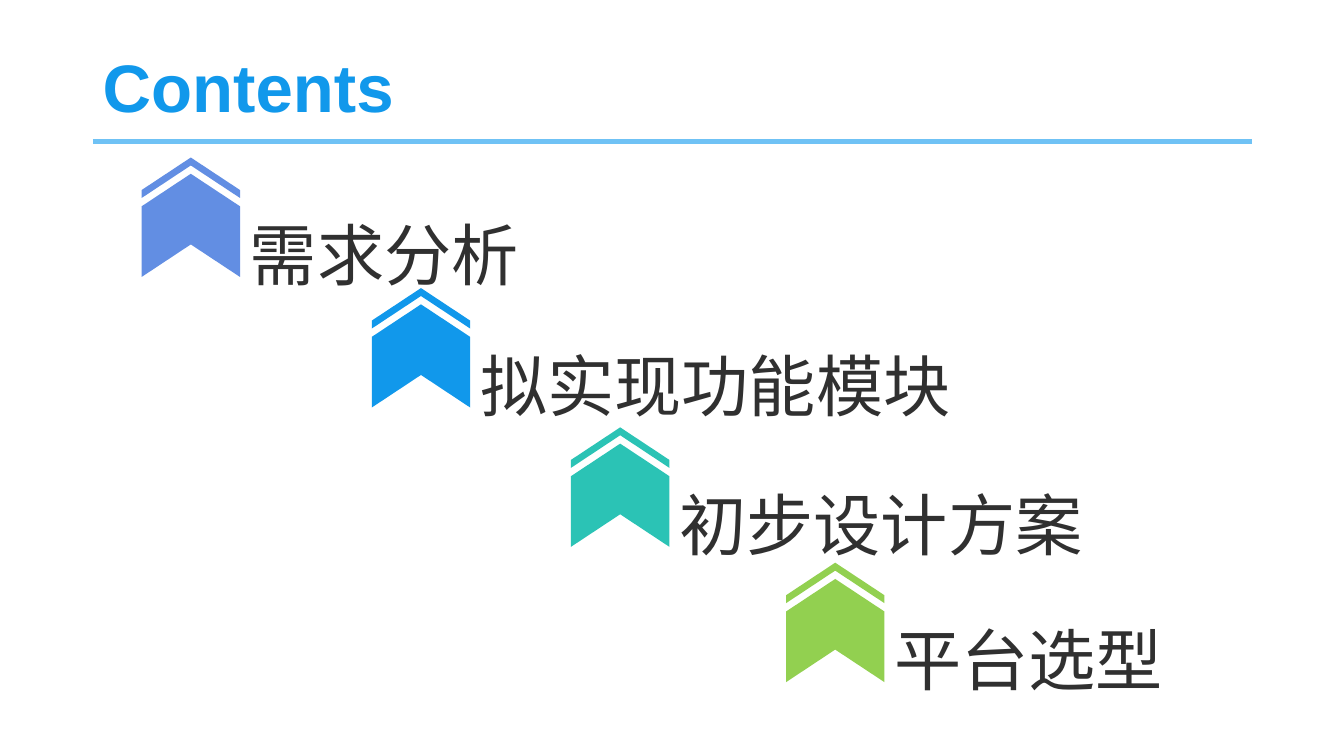
from lxml.etree import SubElement
from pptx import Presentation
from pptx.dml.color import RGBColor
from pptx.enum.shapes import MSO_CONNECTOR as Link
from pptx.enum.text import MSO_ANCHOR as Anchor
from pptx.oxml.ns import qn
from pptx.util import Cm, Pt

ROOF = [(0, 0.82), (1.24, 0), (2.48, 0.82), (2.48, 1.02), (1.24, 0.2), (0, 1.02)]
BODY = [(0, 1.23), (1.24, 0.41), (2.48, 1.23), (2.48, 3.01), (1.24, 2.19), (0, 3.01)]

ITEMS = [
    ("需求分析", 3.57, 3.97, 9.47, "628EE3", 10),
    ("拟实现功能模块", 9.37, 7.26, 12.98, "1198EB", 10),
    ("初步设计方案", 14.39, 10.77, 10.85, "2BC3B5", None),
    ("平台选型", 19.81, 14.18, 9.47, "92D050", None),
]


def tint(code):
    return RGBColor.from_string(code)


class Deck:
    """Holds the text style and the current slide."""

    font, size, ink = "Arial", 48, "303030"

    def __init__(self, show):
        self.slide = show.slides.add_slide(show.slide_layouts[6])

    def rule(self, left, top, right, color, width):
        line = self.slide.shapes.add_connector(
            Link.STRAIGHT, Cm(left), Cm(top), Cm(right), Cm(top))
        line.line.color.rgb = tint(color)
        line.line.width = Pt(width)
        SubElement(line._element.spPr, qn("a:effectLst"))

    def text(self, home, words, box, space, color=ink, bold=False, gap=None):
        frame = home.add_textbox(*map(Cm, box)).text_frame
        frame.word_wrap = True
        frame.vertical_anchor = Anchor.MIDDLE
        para = frame.paragraphs[0]
        para.line_spacing = space
        if gap:
            para.space_before = Pt(gap)
        run = para.add_run()
        run.text = words
        run.font.name = self.font
        run.font.size = Pt(self.size)
        run.font.bold = bold
        run.font.color.rgb = tint(color)

    def poly(self, home, spots, left, top, color):
        first, *rest = [(Cm(left + x), Cm(top + y)) for x, y in spots]
        pen = home.build_freeform(*first)
        pen.add_line_segments(rest, close=True)
        shape = pen.convert_to_shape()
        shape.shadow.inherit = False
        shape.fill.solid()
        shape.fill.fore_color.rgb = tint(color)
        shape.line.fill.background()

    def item(self, words, left, top, width, color, gap):
        home = self.slide.shapes.add_group_shape().shapes
        for spots in (BODY, ROOF):
            self.poly(home, spots, left, top, color)
        box = (left + 2.48, top + 1.25, width, 1.75)
        self.text(home, words, box, 1.3, gap=gap)


def main():
    show = Presentation()
    show.slide_width, show.slide_height = Cm(33.87), Cm(19.05)
    deck = Deck(show)
    deck.rule(2.34, 3.56, 31.55, "6FC2F5", 3.5)
    deck.text(deck.slide.shapes, "Contents", (2.34, 1.02, 29.21, 2.54),
              0.9, "1198EB", True)
    for item in ITEMS:
        deck.item(*item)
    show.save("out.pptx")


if __name__ == "__main__":
    main()
